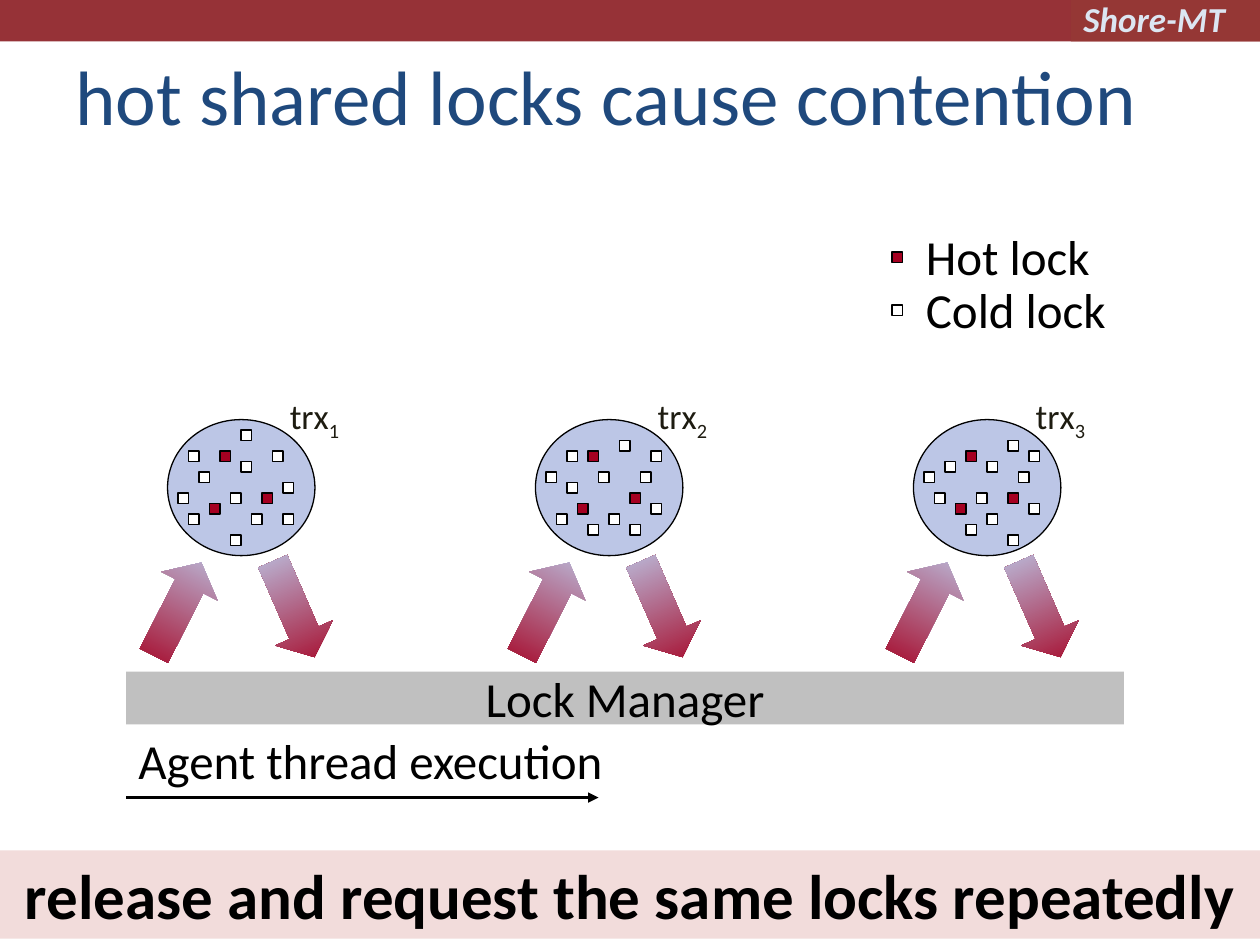
from lxml import etree
from pptx import Presentation
from pptx import util as u
from pptx.dml.color import RGBColor
from pptx.enum import shapes, text
from pptx.oxml.ns import qn

Inches, Pt = u.Inches, u.Pt
SHAPE = shapes.MSO_SHAPE
MIDDLE, BOTTOM = text.MSO_ANCHOR.MIDDLE, text.MSO_ANCHOR.BOTTOM
CENTER = text.PP_ALIGN.CENTER

COLORS = {
    "header": "963237", "tag": "953735", "tag_text": "DCE6F2", "title": "1F497D",
    "manager": "C0C0C0", "trx": "BCC6E6", "trx_label": "1E1C11",
    "hot": "A50021", "cold": "FFFFFF", "banner": "F2DCDB", "black": "000000",
}

CELL = 1 / 12  # side of a lock and pitch of the lock grid
TRX_TOP = 3.33
HOT_CELLS = [(5, 3), (9, 7), (4, 8)]
# Left edge of each transaction and the (column, row) cells of its cold locks
TRANSACTIONS = [
    (1.33, [(3, 5), (8, 9), (10, 3), (7, 4), (7, 1), (11, 6),
            (11, 9), (6, 11), (6, 7), (1, 7), (2, 9), (2, 3)]),
    (4.25, [(1, 5), (9, 10), (8, 2), (6, 5), (11, 3), (10, 5),
            (11, 8), (7, 9), (5, 10), (3, 6), (2, 9), (3, 3)]),
    (7.25, [(1, 5), (9, 11), (9, 2), (7, 4), (11, 3), (10, 5),
            (11, 8), (7, 9), (5, 10), (3, 4), (2, 7), (6, 7)]),
]


def rgb(name):
    return RGBColor.from_string(COLORS[name])


def add_shape(slide, kind, box, fill=None, outlined=False):
    shape = slide.shapes.add_shape(kind, *map(Inches, box))
    shape.shadow.inherit = False
    if fill:
        shape.fill.solid()
        shape.fill.fore_color.rgb = rgb(fill)
    if outlined:
        shape.line.color.rgb = rgb("black")
        shape.line.width = Pt(0.75)
    else:
        shape.line.fill.background()
    return shape


def add_run(paragraph, words, size, color="black", bold=False, italic=False):
    run = paragraph.add_run()
    run.text = words
    font = run.font
    font.name, font.size = "Calibri", Pt(size)
    font.bold, font.italic = bold, italic
    font.color.rgb = rgb(color)
    return run


def add_label(slide, box, words, size, color="black", **style):
    label = slide.shapes.add_textbox(*map(Inches, box))
    label.text_frame.word_wrap = True
    add_run(label.text_frame.paragraphs[0], words, size, color, **style)
    return label


def add_bar(slide, box, fill, words, size, bold=False):
    """Filled bar with centred text."""
    bar = add_shape(slide, SHAPE.RECTANGLE, box, fill)
    frame = bar.text_frame
    frame.vertical_anchor = MIDDLE
    frame.margin_top = frame.margin_bottom = 0
    frame.paragraphs[0].alignment = CENTER
    add_run(frame.paragraphs[0], words, size, bold=bold)


def add_lock(slide, left, top, kind):
    add_shape(slide, SHAPE.RECTANGLE, (left, top, CELL, CELL), kind, outlined=True)


def add_lock_arrow(slide, left, rotation, tip, tail):
    arrow = add_shape(slide, SHAPE.UP_ARROW, (left, 4.42, 0.5, 0.83))
    arrow.adjustments[1] = 0.42
    arrow.rotation = rotation
    arrow.fill.gradient()
    arrow.fill.gradient_angle = 270
    for stop, color, position in zip(arrow.fill.gradient_stops, (tip, tail), (0, 1)):
        stop.color.rgb = rgb(color)
        stop.position = position


def add_transaction(slide, number, left, cold_cells):
    add_shape(slide, SHAPE.OVAL, (left, TRX_TOP, 1.17, 1.08), "trx", outlined=True)
    for kind, cells in (("hot", HOT_CELLS), ("cold", cold_cells)):
        for column, row in cells:
            add_lock(slide, left + column * CELL, TRX_TOP + row * CELL, kind)
    label = add_label(slide, (left + 0.92, 3.08, 0.67, 0.44), "trx", 20, "trx_label")
    label.text_frame.margin_left = Inches(0.05)
    index = add_run(label.text_frame.paragraphs[0], str(number), 20, "trx_label")
    index.font._element.set("baseline", "-25000")


def add_time_arrow(slide, start, end, y):
    arrow = slide.shapes.add_connector(
        shapes.MSO_CONNECTOR.STRAIGHT, Inches(start), Inches(y), Inches(end), Inches(y))
    arrow.line.color.rgb = rgb("black")
    arrow.line.width = Pt(1.5)
    etree.SubElement(arrow.line._get_or_add_ln(), qn("a:tailEnd"), type="triangle")
    etree.SubElement(arrow._element.spPr, qn("a:effectLst"))


def add_header(slide):
    add_shape(slide, SHAPE.RECTANGLE, (0, 0, 10, 0.33), "header")
    add_shape(slide, SHAPE.RECTANGLE, (8.5, 0, 1.5, 0.33), "tag")
    add_label(slide, (8.5, -0.07, 1.42, 0.44), "Shore-MT", 20, "tag_text",
              bold=True, italic=True)


def add_legend(slide):
    for row, (kind, words) in enumerate([("hot", "Hot lock"), ("cold", "Cold lock")]):
        offset = row * 0.42
        add_lock(slide, 7.08, 2 + offset, kind)
        add_label(slide, (7.25, 1.75 + offset, 1.75, 0.57), words, 28)


def main():
    prs = Presentation()
    prs.slide_width, prs.slide_height = Inches(10), Inches(7.5)
    slide = prs.slides.add_slide(prs.slide_layouts[6])

    add_header(slide)
    title = add_label(slide, (0.5, 0.3, 9, 0.87),
                      "hot shared locks cause contention", 44, "title")
    title.text_frame.vertical_anchor = BOTTOM

    add_bar(slide, (1, 5.33, 7.92, 0.42), "manager", "Lock Manager", 28)
    for left, _ in TRANSACTIONS:
        add_lock_arrow(slide, left - 0.17, 27, "trx", "hot")
        add_lock_arrow(slide, left + 0.75, 156.4, "hot", "trx")
    for number, (left, cold_cells) in enumerate(TRANSACTIONS, 1):
        add_transaction(slide, number, left, cold_cells)

    add_time_arrow(slide, 1, 4.75, 6.33)
    add_label(slide, (1, 5.75, 4.25, 0.57), "Agent thread execution", 28)
    add_legend(slide)
    add_bar(slide, (0, 6.75, 10, 0.7), "banner",
            "release and request the same locks repeatedly", 36, bold=True)

    prs.save("out.pptx")


if __name__ == "__main__":
    main()
